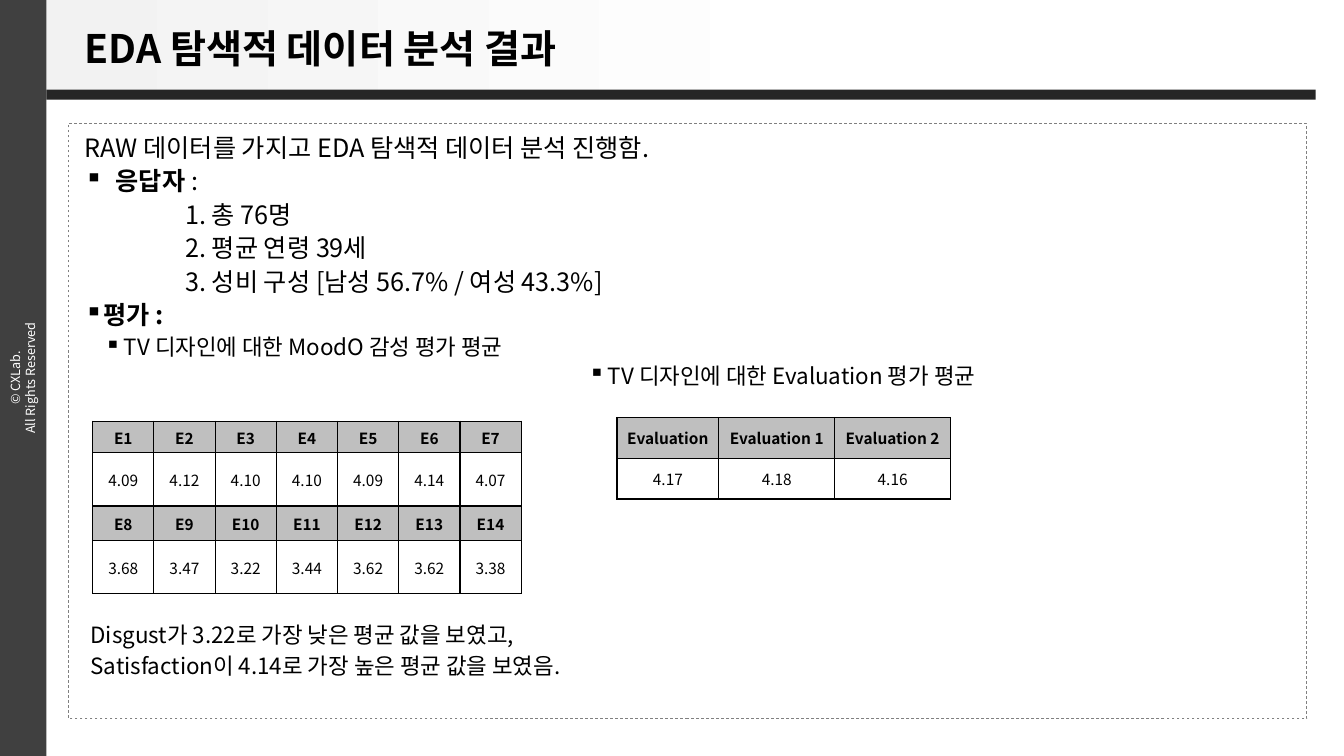
import pptx
import pptx.util
import pptx.dml.color
import pptx.enum.dml
import pptx.enum.shapes
import pptx.enum.text
import pptx.oxml.ns
from dataclasses import dataclass
from lxml import etree


@dataclass(frozen=True)
class Theme:
    """Colours, type sizes and spacing of the slide."""
    font: str = "Noto Sans CJK KR"
    ink: str = "000000"
    paper: str = "FFFFFF"
    mist: str = "F2F2F2"
    bar: str = "262626"
    side: str = "404040"
    edge: str = "808080"
    head: str = "BFBFBF"
    title: int = 28
    body: int = 18
    sub: int = 16
    cell: int = 11
    note: int = 9
    gap: int = 6
    lead: float = 0.83


@dataclass(frozen=True)
class Box:
    """A rectangle in EMU that can be cut by percent shares."""
    x: float
    y: float
    w: float
    h: float

    def cut(self, x, y, w, h):
        """Return the inner box at the given shares."""
        return Box(self.x + self.w * x / 100, self.y + self.h * y / 100,
                   self.w * w / 100, self.h * h / 100)

    def spot(self):
        """Return left, top, width and height as whole numbers."""
        return [round(v) for v in (self.x, self.y, self.w, self.h)]


THEME = Theme()
ALIGN = pptx.enum.text.PP_ALIGN
MIDDLE = pptx.enum.text.MSO_ANCHOR.MIDDLE


def tint(code):
    """Turn a hex code into a colour."""
    return pptx.dml.color.RGBColor.from_string(code)


def node(root, tag, **attrs):
    """Append a drawing element to root."""
    return etree.SubElement(root, pptx.oxml.ns.qn("a:" + tag), attrs)


def write(para, text, size, bold=False, color=THEME.ink):
    """Add one run of text to a paragraph."""
    run = para.add_run()
    run.text = text
    font = run.font
    font.size, font.bold, font.name = pptx.util.Pt(size), bold, THEME.font
    font.color.rgb = tint(color)
    node(font._element, "ea", typeface=THEME.font)


def block(slide, box, fill):
    """Draw a plain rectangle."""
    shape = slide.shapes.add_shape(
        pptx.enum.shapes.MSO_SHAPE.RECTANGLE, *box.spot())
    shape.shadow.inherit = False
    shape.line.fill.background()
    shape.fill.solid()
    shape.fill.fore_color.rgb = tint(fill)
    return shape


def frame(slide, box):
    """Add a wrapping text box and return its frame."""
    area = slide.shapes.add_textbox(*box.spot()).text_frame
    area.word_wrap = True
    return area


def prose(slide, box, lines):
    """Fill a text box with lines of (runs, size, margin, hang)."""
    area = frame(slide, box)
    for i, (runs, size, left, hang) in enumerate(lines):
        para = area.add_paragraph() if i else area.paragraphs[0]
        para.line_spacing = THEME.lead
        if i:
            para.space_before = pptx.util.Pt(THEME.gap)
        props = para._p.get_or_add_pPr()
        props.set("marL", str(pptx.util.Inches(left)))
        props.set("indent", str(-pptx.util.Inches(hang)))
        if hang:
            node(props, "buChar", char="▪")
        for text, bold in runs:
            write(para, text, size, bold)


def rim(cell):
    """Draw thin lines around a cell."""
    props = cell._tc.get_or_add_tcPr()
    for i, tag in enumerate(("lnL", "lnR", "lnT", "lnB")):
        line = etree.Element(pptx.oxml.ns.qn("a:" + tag),
                             {"w": str(pptx.util.Pt(1))})
        node(node(line, "solidFill"), "srgbClr", val=THEME.ink)
        props.insert(i, line)


def grid(slide, box, rows, cols, highs, tight=False):
    """Place a table whose even rows are headings."""
    table = slide.shapes.add_table(len(rows), len(cols), *box.spot()).table
    for col, share in zip(table.columns, cols):
        col.width = round(box.w * share / sum(cols))
    for r, (row, share) in enumerate(zip(rows, highs)):
        table.rows[r].height = round(box.h * share / sum(highs))
        for c, text in enumerate(row):
            cell = table.cell(r, c)
            top = r % 2 == 0
            cell.fill.solid()
            cell.fill.fore_color.rgb = tint(THEME.head if top else THEME.paper)
            cell.vertical_anchor = MIDDLE
            if tight:
                thin = pptx.util.Inches(0.01)
                cell.margin_left = cell.margin_right = cell.margin_top = thin
                cell.margin_bottom = 0
            para = cell.text_frame.paragraphs[0]
            para.alignment = ALIGN.CENTER
            write(para, text, THEME.cell, top)
            rim(cell)


def header(slide, box):
    """Draw the shaded title band with its rule."""
    fill = block(slide, box, THEME.paper).fill
    fill.gradient()
    fill.gradient_angle = 180
    stops = ((0.39, THEME.paper), (1, THEME.mist))
    for stop, (place, color) in zip(fill.gradient_stops, stops):
        stop.position = place
        stop.color.rgb = tint(color)
    block(slide, box.cut(0, 89.9, 100, 10.1), THEME.bar)
    area = frame(slide, box.cut(2.22, 19.2, 96.58, 57.6))
    area.vertical_anchor = MIDDLE
    write(area.paragraphs[0], "EDA 탐색적 데이터 분석 결과", THEME.title, True)


def spine(slide, box):
    """Draw the dark side strip with the rights line."""
    area = block(slide, box, THEME.side).text_frame
    area._txBody.bodyPr.set("vert", "vert270")
    area.vertical_anchor = MIDDLE
    para = area.paragraphs[0]
    para.alignment = ALIGN.CENTER
    write(para, "© CXLab.", THEME.note, color=THEME.paper)
    para.add_line_break()
    write(para, "All Rights Reserved", THEME.note, color=THEME.paper)


def panel(slide, box):
    """Place the findings and both score tables in a dashed panel."""
    line = block(slide, box, THEME.paper).line
    line.color.rgb = tint(THEME.edge)
    line.width = pptx.util.Pt(0.5)
    line.dash_style = pptx.enum.dml.MSO_LINE.DASH
    body, sub = THEME.body, THEME.sub
    facts = ("1. 총 76명", "2. 평균 연령 39세",
             "3. 성비 구성 [남성 56.7% / 여성 43.3%]")
    prose(slide, box.cut(0.49, 1.52, 52.12, 97.29), [
        ([("RAW 데이터를 가지고 EDA 탐색적 데이터 분석 진행함.", False)], body, 0, 0),
        ([("응답자 ", True), (":", False)], body, 0.31, 0.31),
        *[([(fact, False)], body, 1, 0) for fact in facts],
        ([("평가 :", True)], body, 0.19, 0.19),
        ([("TV 디자인에 대한 MoodO 감성 평가 평균", False)], sub, 0.39, 0.19)])
    prose(slide, box.cut(39.58, 40.1, 52.12, 9.64), [
        ([("TV 디자인에 대한 Evaluation 평가 평균", False)], sub, 0.39, 0.19)])
    names = [f"E{i}" for i in range(1, 15)]
    grid(slide, box.cut(1.95, 50.08, 34.61, 28.93), [
        names[:7], ["4.09", "4.12", "4.10", "4.10", "4.09", "4.14", "4.07"],
        names[7:], ["3.68", "3.47", "3.22", "3.44", "3.62", "3.62", "3.38"],
    ], [1] * 7, [31, 53, 34, 53], tight=True)
    notes = ("Disgust가 3.22로 가장 낮은 평균 값을 보였고,",
             "Satisfaction이 4.14로 가장 높은 평균 값을 보였음.")
    prose(slide, box.cut(-0.65, 83.59, 52.12, 9.64),
          [([(note, False)], sub, 0.2, 0) for note in notes])
    grid(slide, box.cut(44.3, 49.41, 26.95, 13.71), [
        ["Evaluation", "Evaluation 1", "Evaluation 2"],
        ["4.17", "4.18", "4.16"]], [101, 115, 115], [1, 1])


def main():
    """Build the slide and save it."""
    deck = pptx.Presentation()
    deck.slide_width = pptx.util.Inches(13.33)
    deck.slide_height = pptx.util.Inches(7.5)
    slide = deck.slides.add_slide(deck.slide_layouts[6])
    page = Box(0, 0, deck.slide_width, deck.slide_height)
    header(slide, page.cut(3.45, 0, 94.45, 13.2))
    panel(slide, page.cut(5.1, 16.27, 92.12, 78.8))
    spine(slide, page.cut(0, 0, 3.45, 100))
    deck.save("out.pptx")


if __name__ == "__main__":
    main()
